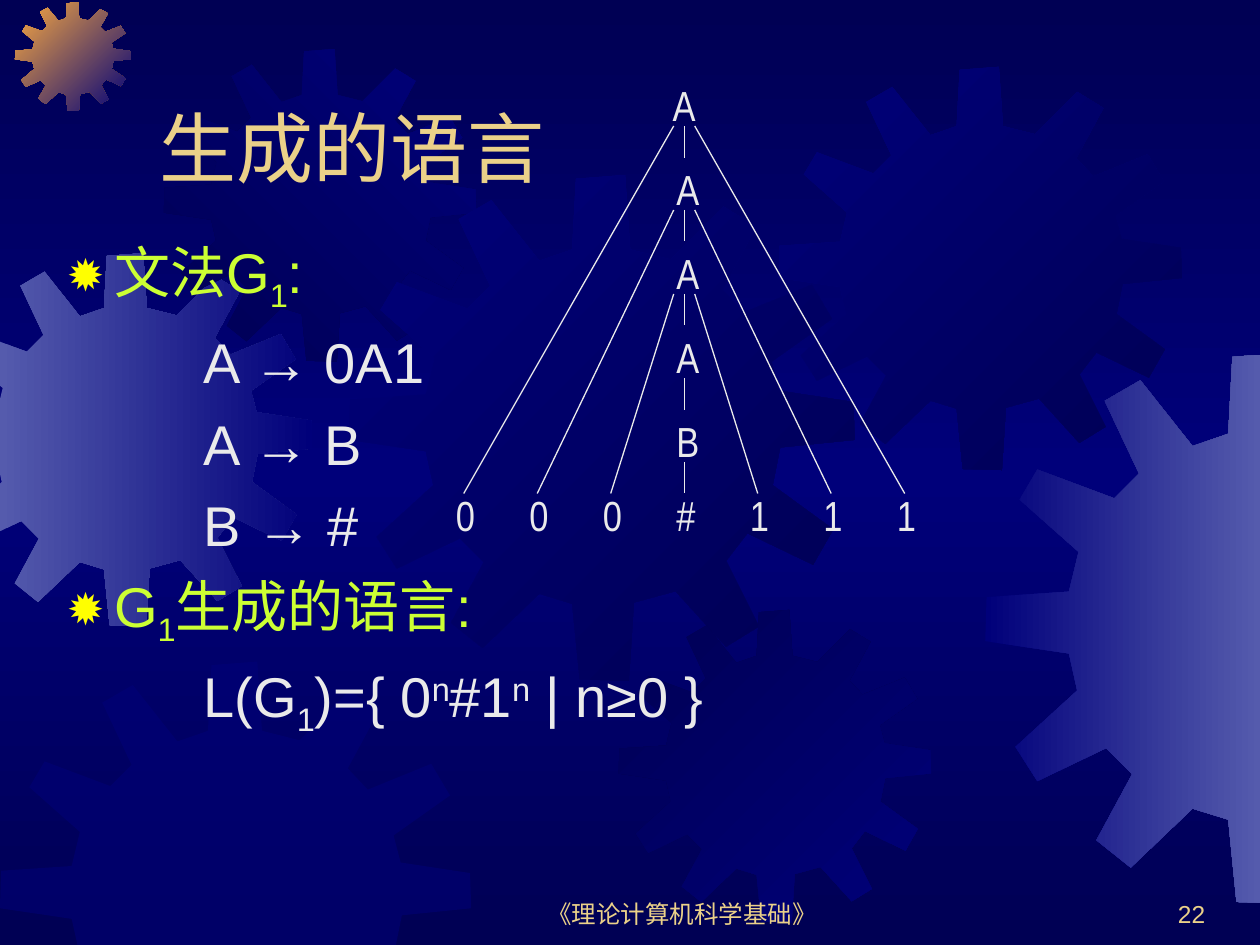
import copy

import pptx
import pptx.dml.color
import pptx.enum.shapes
import pptx.enum.text
import pptx.oxml
import pptx.oxml.ns
import pptx.util

Pt = pptx.util.Pt
qn = pptx.oxml.ns.qn
ALIGN = pptx.enum.text.PP_ALIGN
ANCHOR = pptx.enum.text.MSO_ANCHOR

# Content
WIDTH, HEIGHT = 720, 540
NAVY, BLUE, LILAC, ORANGE = "000054", "00007A", "555BAD", "FCAB40"
GOLD, LIME, YELLOW, PALE = "EBD189", "CCFF33", "FFFF00", "EAEAEA"
SUB, SUPER = -25, 30

TITLE = "生成的语言"
# Each body line: is it a bulleted heading, then (text, baseline shift) pieces
BODY = [
    (True, [("文法G", 0), ("1", SUB), (":", 0)]),
    (False, [("A → 0A1", 0)]),
    (False, [("A → B", 0)]),
    (False, [("B → #", 0)]),
    (True, [("G", 0), ("1", SUB), ("生成的语言:", 0)]),
    (False, [("L(G", 0), ("1", SUB), (")={ 0", 0), ("n", SUPER), ("#1", 0),
             ("n", SUPER), (" | n≥0 }", 0)]),
]
FOOTERS = [
    ("《理论计算机科学基础》", 275.8, 228, ALIGN.CENTER),
    ("22", 545.8, 150, ALIGN.RIGHT),
]
TREE_SPINE = "AAAAB"
TREE_LEAVES = "000#111"

# Gear outline on a grid of GEAR_SIZE units
GEAR_SIZE = 401
GEAR = [
    (255, 67), (223, 59), (219, 0), (180, 3), (177, 59), (151, 68), (113, 20), (87, 35),
    (112, 88), (94, 106), (38, 85), (25, 107), (68, 145), (61, 174), (1, 178), (0, 210),
    (61, 219), (67, 246), (22, 287), (38, 312), (88, 288), (107, 307), (81, 355), (106, 375),
    (151, 332), (177, 340), (183, 400), (222, 401), (226, 339), (259, 330), (299, 374), (325, 358),
    (299, 306), (316, 284), (368, 309), (384, 281), (336, 246), (342, 216), (401, 210), (400, 180),
    (341, 171), (335, 148), (383, 114), (367, 87), (313, 109), (296, 91), (323, 41), (297, 25),
]
# left, top, width, height, colours, clockwise gradient angle
GEARS = [
    (-34.6, 144.7, 213.1, 213.1, (LILAC, BLUE), 0),
    (8.6, 1.4, 66, 62, (ORANGE, BLUE), 45),
    (93.6, 28, 178.6, 178.6, (NAVY, BLUE), 315),
    (199.4, 100, 289, 289, (BLUE, NAVY), 45),
    (0, 378, 269.3, 269.3, (BLUE,), 0),
    (353.5, 348.5, 178.6, 178.6, (NAVY, BLUE), 45),
    (445, 38.2, 230.4, 230.4, (BLUE, NAVY), 45),
    (563, 201.6, 314.6, 314.6, (BLUE, LILAC), 0),
]


def rgb(colour):
    return pptx.dml.color.RGBColor.from_string(colour)


def set_gradient(fill, colours, angle):
    fill.gradient()
    fill.gradient_angle = -angle % 360
    for stop, colour in zip(fill.gradient_stops, colours):
        stop.color.rgb = rgb(colour)


def clip(points, axis, limit, sign):
    """Keep the part of a polygon where sign * coordinate <= sign * limit."""
    kept = []
    for start, end in zip(points[-1:] + points[:-1], points):
        start_inside = sign * start[axis] <= sign * limit
        end_inside = sign * end[axis] <= sign * limit
        if start_inside != end_inside:
            share = (limit - start[axis]) / (end[axis] - start[axis])
            kept.append(tuple(a + share * (b - a) for a, b in zip(start, end)))
        if end_inside:
            kept.append(end)
    return kept


def add_gear(slide, left, top, width, height, colours, angle):
    points = [(left + x * width / GEAR_SIZE, top + y * height / GEAR_SIZE) for x, y in GEAR]
    for axis, limit, sign in ((0, 0, -1), (0, WIDTH, 1), (1, HEIGHT, 1)):
        points = clip(points, axis, limit, sign)
    corners = [(Pt(x), Pt(y)) for x, y in points]
    builder = slide.shapes.build_freeform(*corners[0])
    builder.add_line_segments(corners[1:], close=True)
    shape = builder.convert_to_shape()
    shape.shadow.inherit = False
    shape.line.fill.background()
    if len(colours) > 1:
        set_gradient(shape.fill, colours, angle)
    else:
        # A single colour is half transparent
        shape.fill.solid()
        shape.fill.fore_color.rgb = rgb(colours[0])
        colour = shape.element.spPr.find(qn("a:solidFill"))[0]
        pptx.oxml.ns.qn
        colour.append(pptx.oxml.parse_xml(
            f'<a:alpha {pptx.oxml.ns.nsdecls("a")} val="50000"/>'))


def format_run(run, size, colour, font="Arial"):
    run.font.size = Pt(size)
    run.font.name = font
    run.font.color.rgb = rgb(colour)


def add_label(slide, text, box, size, colour, font="Arial", align=ALIGN.LEFT, anchor=ANCHOR.TOP):
    frame = slide.shapes.add_textbox(*map(Pt, box)).text_frame
    frame.word_wrap = True
    frame.vertical_anchor = anchor
    frame.text = text
    frame.paragraphs[0].alignment = align
    format_run(frame.paragraphs[0].runs[0], size, colour, font)


def place(shape, left, top, width, height, anchor):
    shape.left, shape.top, shape.width, shape.height = map(Pt, (left, top, width, height))
    shape.text_frame.auto_size = pptx.enum.text.MSO_AUTO_SIZE.NONE
    shape.text_frame.vertical_anchor = anchor


def set_indent(paragraph, margin, indent, bullet):
    properties = paragraph._p.get_or_add_pPr()
    properties.set("marL", str(Pt(margin)))
    properties.set("indent", str(Pt(indent)))
    names = pptx.oxml.ns.nsdecls("a")
    items = [f'<a:buNone {names}/>']
    if bullet:
        items = [f'<a:buClr {names}><a:srgbClr val="{YELLOW}"/></a:buClr>',
                 f'<a:buSzPct {names} val="80000"/>',
                 f'<a:buChar {names} char="✹"/>']
    for item in items:
        properties.append(pptx.oxml.parse_xml(item))


def add_edge(slide, x1, y1, x2, y2):
    line = slide.shapes.add_connector(
        pptx.enum.shapes.MSO_CONNECTOR.STRAIGHT, *map(Pt, (x1, y1, x2, y2)))
    line.line.color.rgb = rgb(PALE)
    line.line.width = Pt(0.75)
    line.element.spPr.append(pptx.oxml.parse_xml(
        f'<a:effectLst {pptx.oxml.ns.nsdecls("a")}/>'))


def add_tree(slide):
    axis, pitch, level, leaf_top = 391, 42, 48, 276
    middle = len(TREE_LEAVES) // 2
    # Spine letters, with a short edge below each
    for row, letter in enumerate(TREE_SPINE):
        left = 377.3 if row == 0 else 379.5
        add_label(slide, letter, (left, 42 + level * row, 42, 36), 24, PALE, "Arial Narrow")
        add_edge(slide, axis, 72 + level * row, axis, 90 + level * row)
    # Leaves, with slanted edges up to the spine
    for column, letter in enumerate(TREE_LEAVES):
        offset = column - middle
        box = (379.5 + pitch * offset, leaf_top, 42, 36)
        add_label(slide, letter, box, 24, PALE, "Arial Narrow")
        if offset:
            side = 6 if offset > 0 else -6
            add_edge(slide, axis + pitch * offset, leaf_top + 6,
                     axis + side, 72 + level * (middle - abs(offset)))


def main():
    presentation = pptx.Presentation()
    presentation.slide_width, presentation.slide_height = Pt(WIDTH), Pt(HEIGHT)
    slide = presentation.slides.add_slide(presentation.slide_layouts[1])

    # Background: dark at both ends, lighter in the middle
    set_gradient(slide.background.fill, (NAVY, BLUE), 90)
    stops = slide.element.find(".//" + qn("a:gsLst"))
    stops.append(copy.deepcopy(stops[0]))
    stops[1].set("pos", "50000")
    stops[2].set("pos", "100000")
    title, body = slide.placeholders
    for gear in GEARS:
        add_gear(slide, *gear)

    # Footer and page number
    for text, left, width, align in FOOTERS:
        add_label(slide, text, (left, 498, width, 36), 14, GOLD, align=align, anchor=ANCHOR.BOTTOM)

    # Title and body, raised above the gears
    for placeholder in (title, body):
        slide.shapes.element.append(placeholder.element)
    place(title, 84, 24, 612, 90, ANCHOR.BOTTOM)
    title.text_frame.text = TITLE
    title.text_frame.paragraphs[0].alignment = ALIGN.LEFT
    format_run(title.text_frame.paragraphs[0].runs[0], 44, GOLD)

    place(body, 31, 132, 612, 366, ANCHOR.TOP)
    for index, (heading, pieces) in enumerate(BODY):
        paragraph = body.text_frame.add_paragraph() if index else body.text_frame.paragraphs[0]
        paragraph.space_before = Pt(8 if index else 0)
        set_indent(paragraph, 27 if heading else 78, -27 if heading else 0, heading)
        for text, shift in pieces:
            run = paragraph.add_run()
            run.text = text
            format_run(run, 32, LIME if heading else PALE)
            if shift:
                run._r.get_or_add_rPr().set("baseline", str(shift * 1000))

    add_tree(slide)
    presentation.save("out.pptx")


if __name__ == "__main__":
    main()
